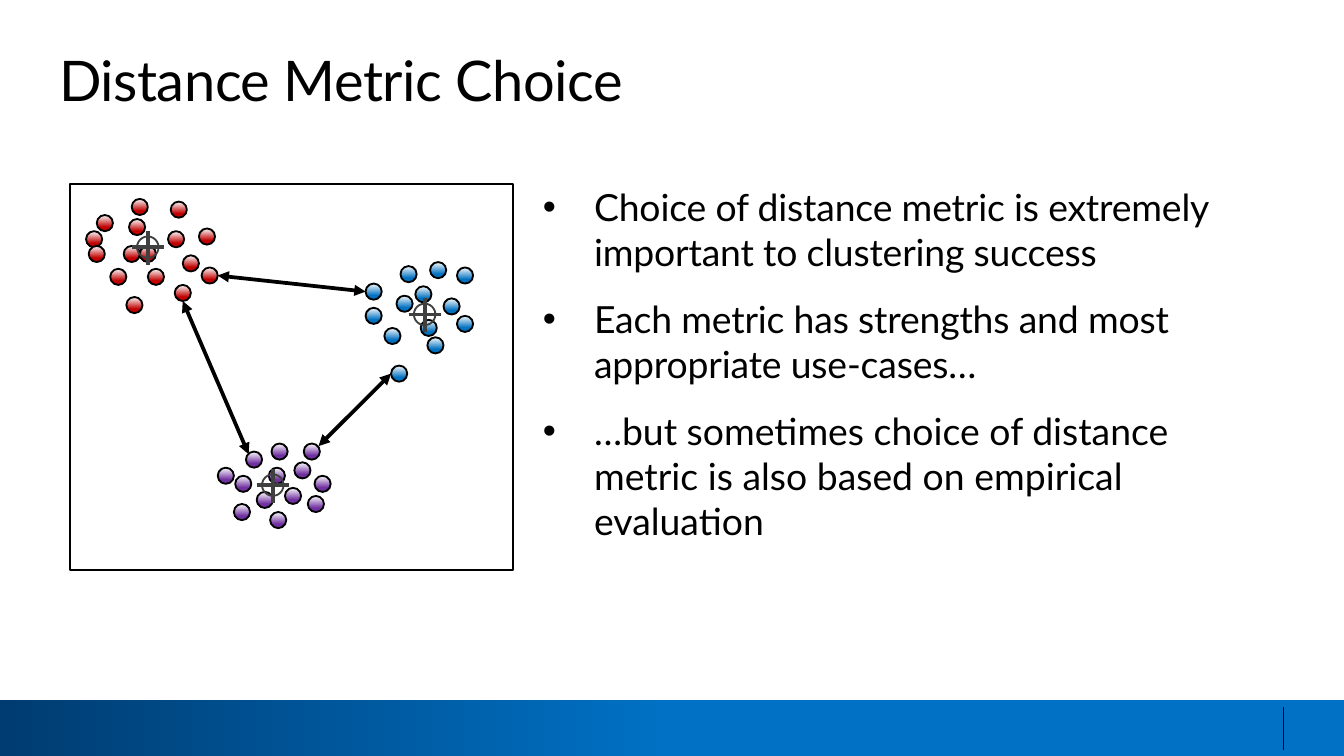
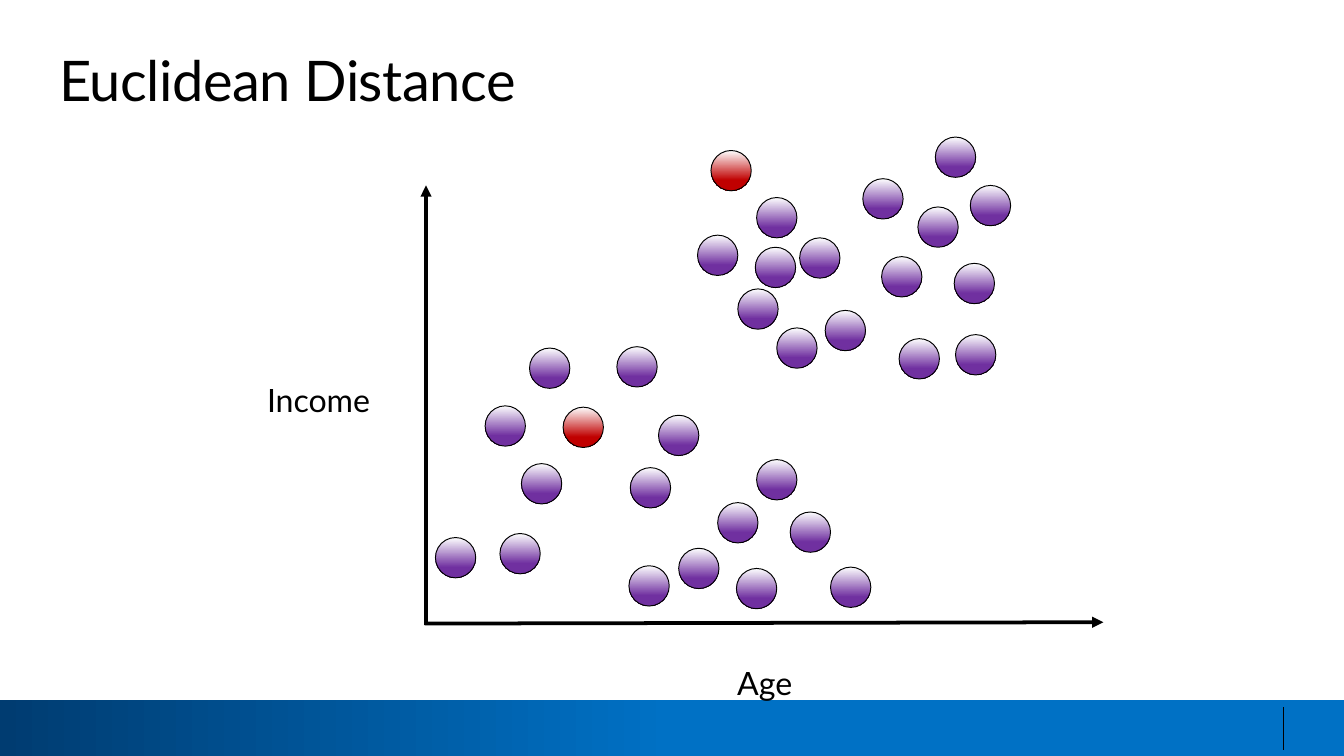
import pptx
import pptx.util
import pptx.dml.color
import pptx.enum.shapes
import pptx.enum.text
import pptx.oxml.ns
from lxml import etree

PX = 9144  # EMU in one px, 100 px to the inch
COLORS = {
    "black": "000000", "gray": "404040", "shine": "FEFFFF",
    "red": "C00000", "blue": "0070C0", "purple": "7030A0",
    "navy": "003C71", "azure": "0071C5",
}
SHAPE = pptx.enum.shapes.MSO_SHAPE
ALIGN = pptx.enum.text.PP_ALIGN
FIT = pptx.enum.text.MSO_AUTO_SIZE
qn = pptx.oxml.ns.qn
rgb = {name: pptx.dml.color.RGBColor.from_string(code) for name, code in COLORS.items()}


def draw_shape(shapes, kind, place, line=None, weight=1, gradient=None, angle=270):
    """Add a shape; gradient is (first colour, second colour, end of the blend)."""
    shape = shapes.add_shape(kind, *[length * PX for length in place])
    shape.shadow.inherit = False
    if gradient:
        first, second, end = gradient
        shape.fill.gradient()
        shape.fill.gradient_angle = angle
        for stop, color, position in zip(shape.fill.gradient_stops, (first, second), (0, end)):
            stop.color.rgb = rgb[color]
            stop.position = position
    else:
        shape.fill.background()
    if line:
        shape.line.color.rgb = rgb[line]
        shape.line.width = pptx.util.Pt(weight)
    else:
        shape.line.fill.background()
    return shape


def draw_line(shapes, ends, color="black", weight=2, arrows=()):
    line = shapes.add_connector(pptx.enum.shapes.MSO_CONNECTOR.STRAIGHT,
                                *[length * PX for length in ends])
    line.line.color.rgb = rgb[color]
    line.line.width = pptx.util.Pt(weight)
    properties = line.element.spPr
    for arrow in arrows:
        etree.SubElement(properties.find(qn("a:ln")), qn("a:" + arrow), type="triangle")
    etree.SubElement(properties, qn("a:effectLst"))
    return line


deck = pptx.Presentation()
deck.slide_width = 1000 * PX
deck.slide_height = deck.slide_width * 9 // 16

# Pages and titles
TITLE = {"size": 30, "spacing": -25, "fit": FIT.SHAPE_TO_FIT_TEXT,
         "para": {"alignment": ALIGN.LEFT}}
pages = []
texts = []  # (box, place, lines, format)
for heading in ("Distance Metric Choice", "Euclidean Distance"):
    page = deck.slides.add_slide(deck.slide_layouts[5])
    pages.append(page)
    texts.append((page.shapes.title, (44, 34, 923, 50), [heading], TITLE))
metric_page, scatter_page = pages

# Footer band and rule, moved to the master so that every page shows them
band = draw_shape(metric_page.shapes, SHAPE.RECTANGLE, (0, 521, 1000, 42),
                  gradient=("navy", "azure", 0.5), angle=0)
rule = draw_line(metric_page.shapes, (955, 526, 955, 558), weight=0.75)
for number, part in enumerate((band, rule)):
    part.element.xpath(".//p:cNvPr")[0].set("id", str(101 + number))
    deck.slide_master.shapes.element.insert(2 + number, part.element)

# Distance metric: bullets
BULLETS = {"size": 20, "spacing": -10, "fit": FIT.NONE, "bullet": "•",
           "para": {"alignment": ALIGN.LEFT}}
texts.append((metric_page.shapes.add_textbox(0, 0, 0, 0), (403, 137, 538, 327), [
    "Choice of distance metric is extremely important to clustering success",
    "Each metric has strengths and most appropriate use-cases…",
    "…but sometimes choice of distance metric is also based on empirical evaluation",
], BULLETS))

# Distance metric: framed clusters
draw_shape(metric_page.shapes, SHAPE.RECTANGLE, (52, 137, 330, 287), "black")
clusters = {
    "red": [(72, 160), (64, 172), (92, 183), (96, 163), (125, 172), (104, 183),
            (66, 183), (82, 200), (110, 200), (136, 190), (130, 212), (94, 221),
            (127, 150), (98, 148), (148, 170), (150, 199)],
    "blue": [(272, 211), (298, 198), (295, 220), (272, 229), (286, 244), (318, 251),
             (313, 238), (330, 222), (320, 195), (309, 213), (291, 272), (340, 235),
             (340, 199)],
    "purple": [(202, 330), (183, 336), (226, 330), (200, 348), (162, 348), (234, 354),
               (212, 363), (175, 354), (174, 375), (219, 344), (191, 366), (201, 381),
               (229, 369)],
}
for color, dots in clusters.items():
    for x, y in dots:
        draw_shape(metric_page.shapes, SHAPE.OVAL, (x, y, 12, 12), "black", 1,
                   ("shine", color, 0.75))

# Distances between clusters
for ends in ((162, 205, 272, 217), (237, 332, 291, 278), (136, 224, 185, 338)):
    draw_line(metric_page.shapes, ends, arrows=("headEnd", "tailEnd"))

# Cluster centres
for x, y in ((110, 184), (316, 234), (203, 361)):
    center = metric_page.shapes.add_group_shape()
    draw_shape(center.shapes, SHAPE.OVAL, (x - 8, y - 8, 16, 16), "gray")
    draw_line(center.shapes, (x, y - 12, x, y + 13), "gray")
    draw_line(center.shapes, (x - 12, y, x + 12, y), "gray")

# Euclidean distance: axes and their labels
LABEL = {"size": 17.2, "spacing": 0, "fit": FIT.SHAPE_TO_FIT_TEXT,
         "para": {"alignment": ALIGN.CENTER, "line_spacing": pptx.util.Pt(28.5)}}
for label, place in (("Age", (388, 483, 362, 38)), ("Income", (184, 272, 106, 38))):
    texts.append((scatter_page.shapes.add_textbox(0, 0, 0, 0), place, [label], LABEL))
for ends in ((317, 465, 317, 138), (316, 464, 821, 463)):
    draw_line(scatter_page.shapes, ends, arrows=("tailEnd",))

# Euclidean distance: people, two of them marked in red
people = {
    "red": [(529, 112), (419, 303)],
    "purple": [(519, 175), (563, 147), (562, 184), (549, 215), (595, 177), (614, 231),
               (578, 244), (669, 252), (711, 249), (710, 196), (656, 191), (683, 154),
               (722, 138), (696, 102), (642, 133), (324, 400), (361, 302), (394, 259),
               (459, 258), (490, 309), (469, 348), (388, 345), (372, 397), (468, 421),
               (505, 408), (534, 374), (563, 342), (588, 381), (548, 423), (618, 422)],
}
for color, dots in people.items():
    for x, y in dots:
        draw_shape(scatter_page.shapes, SHAPE.OVAL, (x, y, 30, 30), "black", 0.5,
                   ("shine", color, 0.74))

# Text of all boxes
for box, place, lines, style in texts:
    for side, length in zip(("left", "top", "width", "height"), place):
        setattr(box, side, length * PX)
    frame = box.text_frame
    frame_format = {"margin_left": 0, "margin_top": 0, "margin_right": 0, "margin_bottom": 0,
                    "word_wrap": True, "auto_size": style["fit"],
                    "vertical_anchor": pptx.enum.text.MSO_ANCHOR.TOP}
    for name, value in frame_format.items():
        setattr(frame, name, value)
    for index, line in enumerate(lines):
        para = frame.add_paragraph() if index else frame.paragraphs[0]
        if "bullet" in style:
            properties = para._p.get_or_add_pPr()
            properties.set("marL", str(39 * PX))
            properties.set("indent", str(-38 * PX))
            etree.SubElement(properties, qn("a:buFont"), typeface="Arial")
            etree.SubElement(properties, qn("a:buChar"), char=style["bullet"])
        para.space_before = pptx.util.Pt(12 if index else 0)
        for name, value in style["para"].items():
            setattr(para, name, value)
        span = para.add_run()
        span.text = line
        span.font.name = "Lato"
        span.font.size = pptx.util.Pt(style["size"])
        span.font.color.rgb = rgb["black"]
        spacing = 0 if index == 2 else style["spacing"]
        span.font._element.set("spc", str(spacing))

deck.save("out.pptx")
